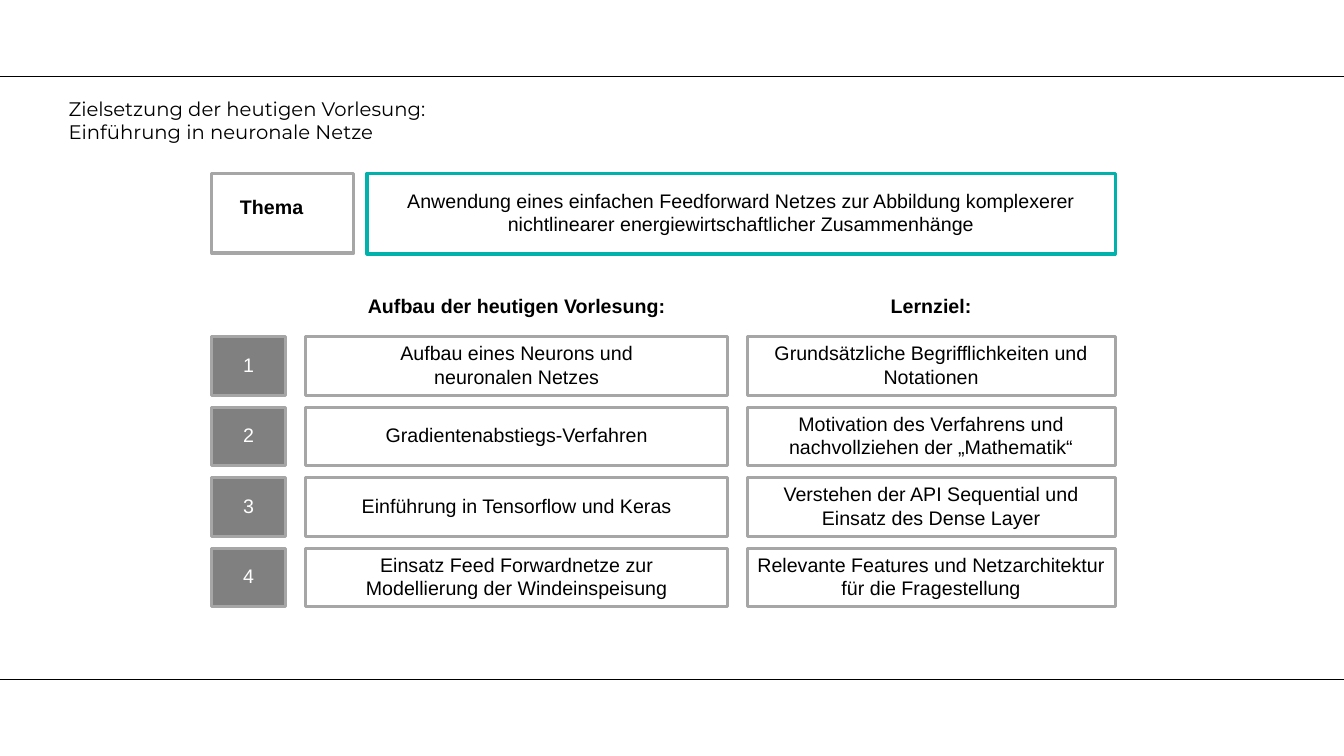
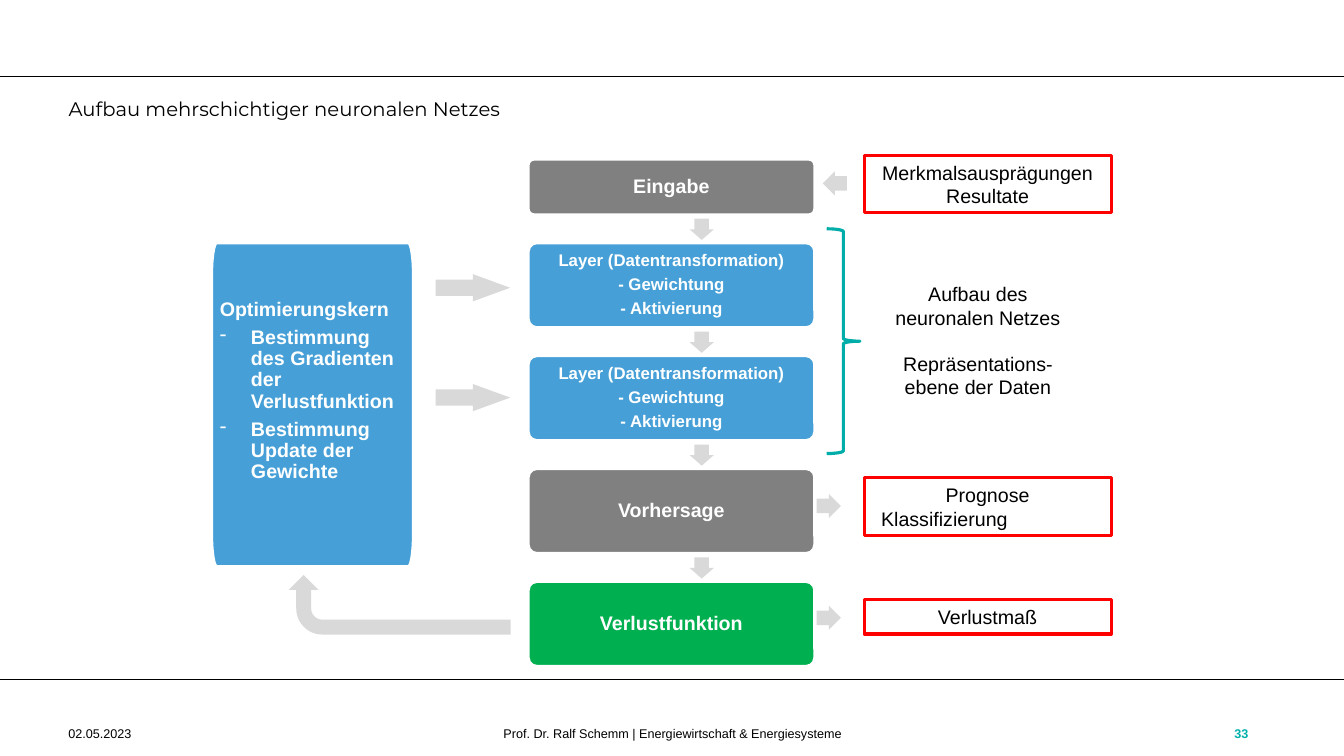
import math

from lxml import etree
from pptx import Presentation
from pptx.dml.color import RGBColor
from pptx.enum import shapes as kinds, text as modes
from pptx.oxml.ns import qn
from pptx.util import Inches, Pt

BLACK, WHITE, RED = "000000", "FFFFFF", "FF0000"
GREY, FRAME, ARROW = "808080", "A6A6A6", "D9D9D9"
TEAL, BRACE, BLUE, GREEN = "00B1AC", "00ADA8", "46A0D7", "00B050"
SHAPE, ALIGN, ANCHOR = kinds.MSO_SHAPE, modes.PP_ALIGN, modes.MSO_ANCHOR
BOX_INSETS = (0, 0, 0, 0.03)
TEXT_INSETS = (0.1, 0.05, 0.1, 0.05)
STAGE_INSETS = (0.08, 0.08, 0.08, 0.08)

GOAL_TITLE = "Zielsetzung der heutigen Vorlesung:\nEinführung in neuronale Netze"
TOPIC = ("Anwendung eines einfachen Feedforward Netzes zur Abbildung komplexerer "
         "nichtlinearer energiewirtschaftlicher Zusammenhänge")
COLUMNS = [("Aufbau der heutigen Vorlesung:", 3.03, 4.19), ("Lernziel:", 7.41, 3.65)]
STEPS = [
    ("Aufbau eines Neurons und\nneuronalen Netzes",
     "Grundsätzliche Begrifflichkeiten und Notationen"),
    ("Gradientenabstiegs-Verfahren",
     "Motivation des Verfahrens und nachvollziehen der „Mathematik“"),
    ("Einführung in Tensorflow und Keras",
     "Verstehen der API Sequential und\nEinsatz des Dense Layer"),
    ("Einsatz Feed Forwardnetze zur\nModellierung der Windeinspeisung",
     "Relevante Features und Netzarchitektur für die Fragestellung"),
]

NETWORK_TITLE = "Aufbau mehrschichtiger neuronalen Netzes"
LAYER = ["Layer (Datentransformation)", "- Gewichtung", "- Aktivierung"]
STAGES = [  # lines, colour, height, text size
    (["Eingabe"], GREY, 0.55, 14),
    (LAYER, BLUE, 0.84, 12),
    (LAYER, BLUE, 0.84, 12),
    (["Vorhersage"], GREY, 0.84, 14),
    (["Verlustfunktion"], GREEN, 0.84, 14),
]
OPTIMISER = ["Optimierungskern", "Bestimmung des Gradienten der Verlustfunktion",
             "Bestimmung Update der Gewichte"]
RESULTS = [  # lines, top, height
    (["Merkmalsausprägungen", "Resultate"], 1.54, 0.57),
    (["Prognose", "Klassifizierung"], 4.74, 0.57),
    (["Verlustmaß"], 5.95, 0.34),
]
REPRESENTATION = ["Aufbau des neuronalen Netzes", "Repräsentations-ebene der Daten"]
FLOW_ARROWS = [  # shape, place, head length
    (SHAPE.LEFT_ARROW, (8.16, 1.7, 0.24, 0.24), 0.5),
    (SHAPE.RIGHT_ARROW, (8.1, 4.9, 0.24, 0.24), 0.5),
    (SHAPE.RIGHT_ARROW, (8.1, 6.01, 0.24, 0.24), 0.5),
    (SHAPE.RIGHT_ARROW, (4.32, 2.72, 0.74, 0.27), 1.37),
    (SHAPE.RIGHT_ARROW, (4.32, 3.81, 0.74, 0.27), 1.37),
]
FOOTER = [  # text, place, alignment, colour, bold
    ("02.05.2023", (0.58, 7.08, 1.89, 0.4), ALIGN.LEFT, BLACK, False),
    ("Prof. Dr. Ralf Schemm | Energiewirtschaft & Energiesysteme",
     (3.52, 7.08, 6.3, 0.4), ALIGN.CENTER, BLACK, False),
    ("33", (11.6, 7.08, 0.88, 0.4), ALIGN.RIGHT, TEAL, True),
]


def rgb(code):
    return RGBColor.from_string(code)


def inches(values):
    return [Inches(value) for value in values]


def write(shape, lines, size=14, color=BLACK, bold=False, align=ALIGN.CENTER,
          anchor=ANCHOR.MIDDLE, insets=TEXT_INSETS, font="Arial",
          spacing=None, after=0):
    """Write one paragraph per line of text and return the paragraphs."""
    frame = shape.text_frame
    frame.word_wrap = True
    frame.auto_size = modes.MSO_AUTO_SIZE.NONE
    frame.vertical_anchor = anchor
    (frame.margin_left, frame.margin_top,
     frame.margin_right, frame.margin_bottom) = inches(insets)
    for index, line in enumerate(lines):
        paragraph = frame.add_paragraph() if index else frame.paragraphs[0]
        paragraph.alignment = align
        if spacing:
            paragraph.line_spacing = spacing
        if after:
            paragraph.space_after = Pt(after)
        for part_index, part in enumerate(line.split("\n")):
            if part_index:
                paragraph.add_line_break()
            run = paragraph.add_run()
            run.text = part
            run.font.name, run.font.size, run.font.bold = font, Pt(size), bold
            run.font.color.rgb = rgb(color)
    return frame.paragraphs


def paint(shape, fill=None, line=None, width=2.25):
    shape.shadow.inherit = False
    if fill:
        shape.fill.solid()
        shape.fill.fore_color.rgb = rgb(fill)
    else:
        shape.fill.background()
    if line:
        shape.line.color.rgb = rgb(line)
        shape.line.width = Pt(width)
    else:
        shape.line.fill.background()
    return shape


def add_shape(slide, kind, place, fill=None, line=None, width=2.25, adjust=()):
    shape = slide.shapes.add_shape(kind, *inches(place))
    for index, value in enumerate(adjust):
        shape.adjustments[index] = value
    return paint(shape, fill, line, width)


def add_label(slide, place, lines, **style):
    return write(slide.shapes.add_textbox(*inches(place)), lines, **style)


def add_rules(slide, layout):
    """Draw the two page rules and hand them to the shared layout."""
    for y in (6.74, 0.76):
        rule = slide.shapes.add_connector(
            kinds.MSO_CONNECTOR.STRAIGHT, *inches((0, y, 13.33, y)))
        rule.line.color.rgb = rgb(BLACK)
        rule.line.width = Pt(1)
        etree.SubElement(rule.element.spPr, qn("a:effectLst"))
        layout.shapes.element.append(rule.element)


def add_slide(deck, layout, heading):
    slide = deck.slides.add_slide(layout)
    title = slide.shapes.title
    title.left, title.top, title.width, title.height = inches((0.58, 0.91, 11.91, 0.55))
    write(title, [heading], align=ALIGN.LEFT, anchor=ANCHOR.TOP, font="Montserrat")
    return slide


def add_elliptic_box(slide, place, radius_x, radius_y):
    """Add a box whose corners are quarter ellipses."""
    left, top, width, height = place
    right, bottom = left + width, top + height
    corners = [(right - radius_x, bottom - radius_y), (left + radius_x, bottom - radius_y),
               (left + radius_x, top + radius_y), (right - radius_x, top + radius_y)]
    points = []
    for quarter, (x, y) in enumerate(corners):
        for step in range(9):
            angle = math.radians(90 * quarter + 90 * step / 8)
            points.append(inches((x + radius_x * math.cos(angle),
                                  y + radius_y * math.sin(angle))))
    builder = slide.shapes.build_freeform(*points[0])
    builder.add_line_segments(points[1:], close=True)
    return paint(builder.convert_to_shape(), BLUE, WHITE, 2)


def add_bullet(paragraph, indent=0.31):
    properties = paragraph._p.get_or_add_pPr()
    properties.set("marL", str(Inches(indent)))
    properties.set("indent", str(-Inches(indent)))
    etree.SubElement(properties, qn("a:buChar")).set("char", "-")


def build_goals(slide):
    thema = add_shape(slide, SHAPE.RECTANGLE, (2.1, 1.72, 1.41, 0.79), line=FRAME)
    write(thema, ["Thema"], bold=True, align=ALIGN.LEFT, anchor=ANCHOR.TOP,
          insets=(0.28, 0.21, 0, 0))
    topic = add_shape(slide, SHAPE.RECTANGLE, (3.64, 1.72, 7.42, 0.8), WHITE, TEAL)
    write(topic, [TOPIC], insets=BOX_INSETS)
    for heading, left, width in COLUMNS:
        add_label(slide, (left, 2.87, width, 0.34), [heading], bold=True,
                  anchor=ANCHOR.TOP)
    for row, texts in enumerate(STEPS):
        top = 3.34 + 0.7 * row
        number = add_shape(slide, SHAPE.RECTANGLE, (2.1, top, 0.73, 0.58), GREY, FRAME)
        write(number, [str(row + 1)], color=WHITE, insets=BOX_INSETS)
        for content, (_, left, width) in zip(texts, COLUMNS):
            box = add_shape(slide, SHAPE.RECTANGLE, (left, top, width, 0.58), WHITE, FRAME)
            write(box, [content], insets=BOX_INSETS)


def build_network(slide):
    top, gap = 1.58, 0.28
    for index, (lines, color, height, size) in enumerate(STAGES):
        if index:
            add_shape(slide, SHAPE.DOWN_ARROW, (6.84, top - gap + 0.04, 0.24, 0.21),
                      ARROW, adjust=(0.6, 0.5))
        stage = add_shape(slide, SHAPE.ROUNDED_RECTANGLE, (5.24, top, 2.84, height),
                          color, WHITE, 2, adjust=(0.1,))
        write(stage, lines, size, WHITE, True, insets=STAGE_INSETS,
              spacing=0.9, after=0.35 * size)
        top += height + gap

    for kind, place, head in FLOW_ARROWS:
        add_shape(slide, kind, place, ARROW, adjust=(0.6, head))
    feedback = add_shape(slide, SHAPE.BENT_ARROW, (3.67, 4.9, 0.59, 2.2), ARROW)
    feedback.rotation = 270

    optimiser = add_elliptic_box(slide, (2.1, 2.41, 2, 3.21), 0.05, 0.32)
    _, *tasks = write(optimiser, OPTIMISER, color=WHITE, bold=True, align=ALIGN.LEFT,
                      insets=(0.08, 0.08, 0.08, 0.35), spacing=0.9, after=4.9)
    for task in tasks:
        add_bullet(task)

    for lines, result_top, height in RESULTS:
        result = add_shape(slide, SHAPE.RECTANGLE, (8.57, result_top, 2.45, height), line=RED)
        for paragraph in write(result, lines):
            if paragraph.text == "Klassifizierung":
                paragraph.alignment = ALIGN.LEFT
                paragraph._p.get_or_add_pPr().set("marL", str(Inches(0.07)))

    add_shape(slide, SHAPE.RIGHT_BRACE, (8.2, 2.27, 0.33, 2.23), line=BRACE)
    network, _ = add_label(slide, (8.77, 2.75, 1.86, 1.28), REPRESENTATION,
                           anchor=ANCHOR.TOP)
    network.space_after = Pt(16)
    for content, place, align, color, bold in FOOTER:
        add_label(slide, place, [content], size=9, color=color, bold=bold, align=align)


def main():
    deck = Presentation()
    deck.slide_width, deck.slide_height = inches((13.33, 7.5))
    layout = deck.slide_layouts.get_by_name("Title Only")
    goals = add_slide(deck, layout, GOAL_TITLE)
    add_rules(goals, layout)
    build_goals(goals)
    build_network(add_slide(deck, layout, NETWORK_TITLE))
    deck.save("out.pptx")


if __name__ == "__main__":
    main()
